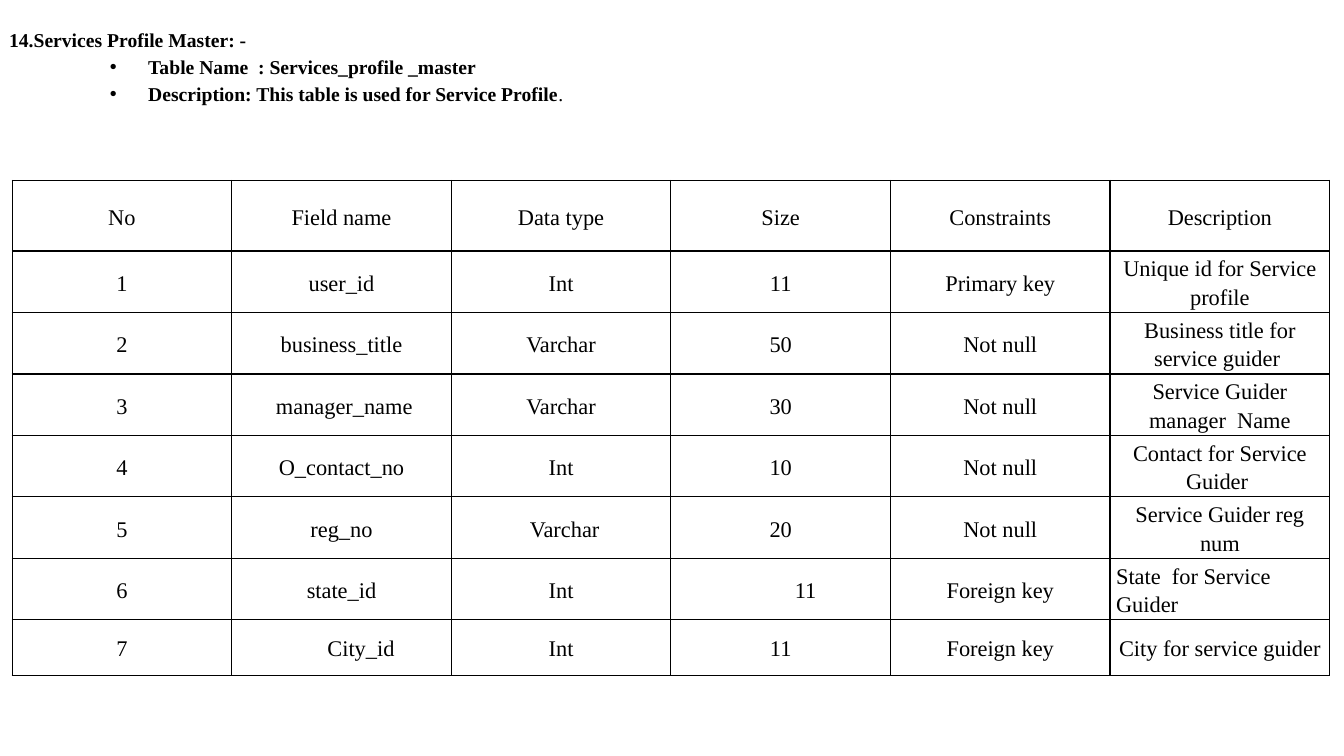
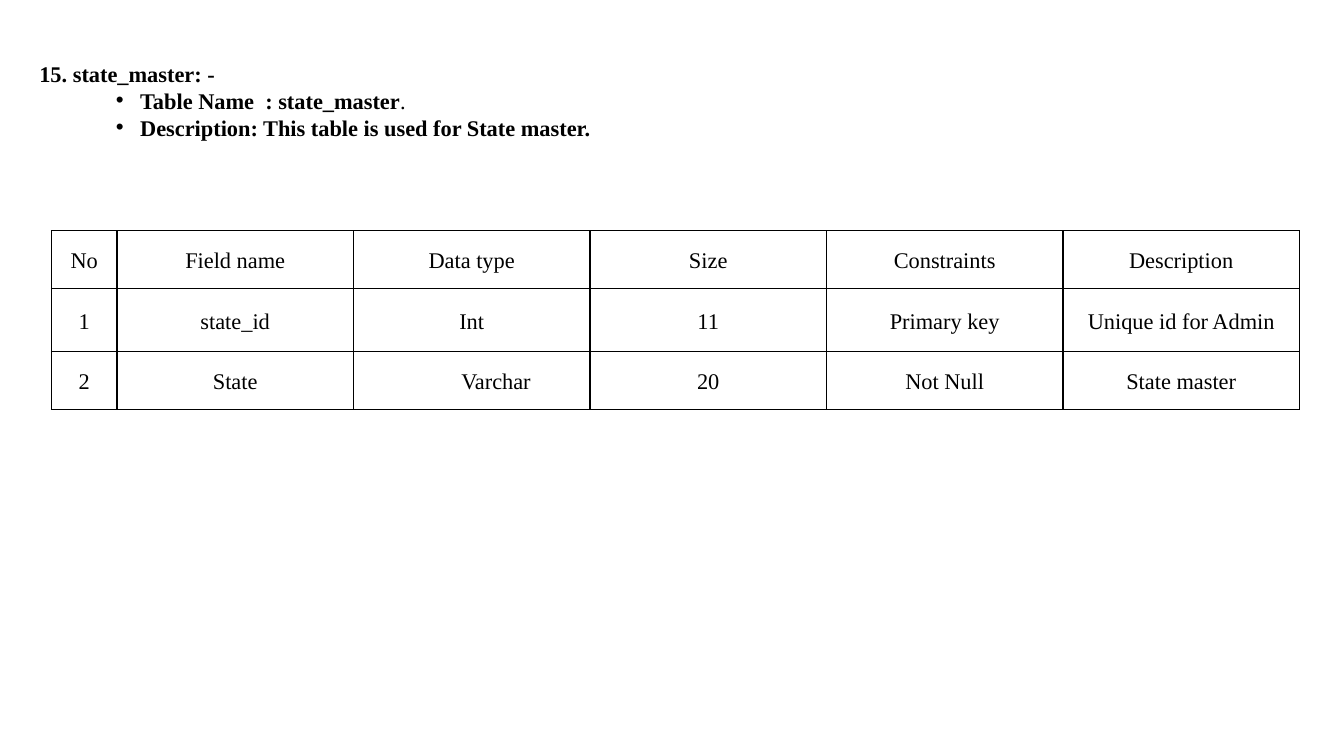
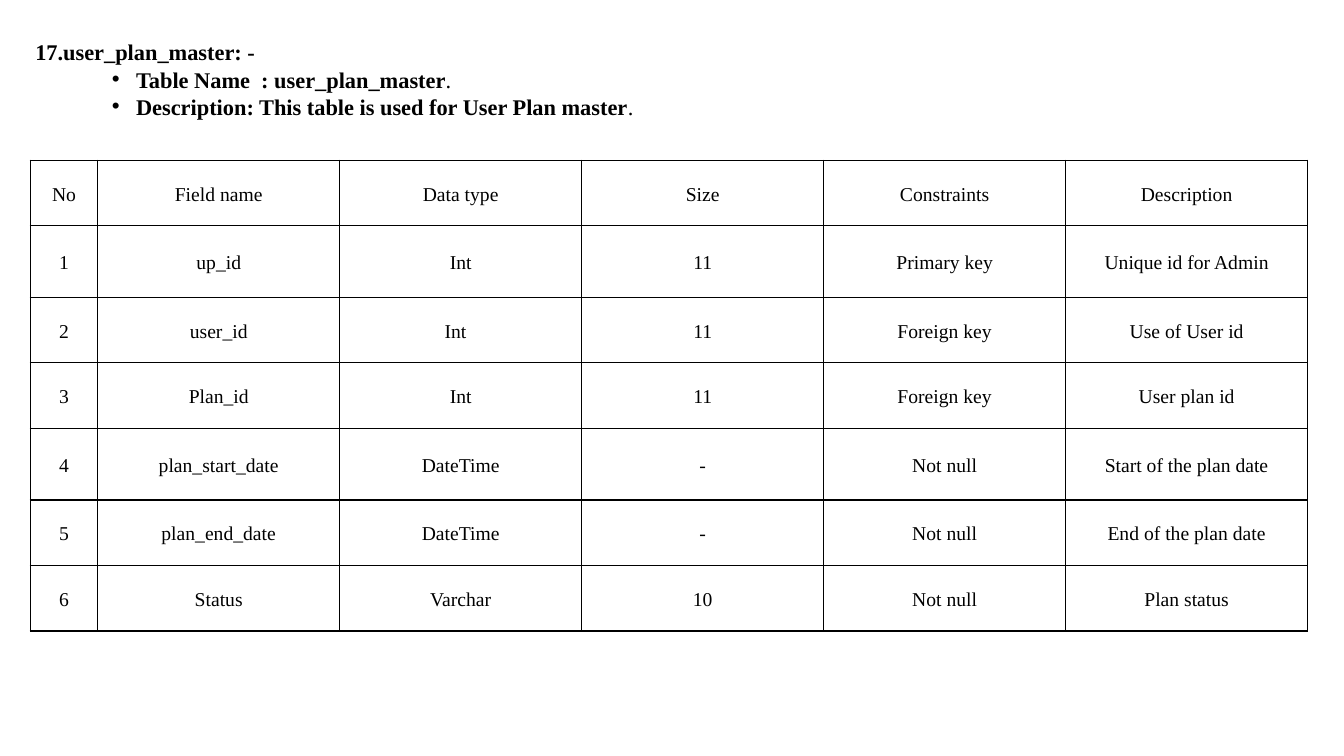
from dataclasses import dataclass

from lxml import etree
from pptx import Presentation
from pptx import util as u
from pptx.dml.color import RGBColor
from pptx.enum import text
from pptx.oxml import ns


@dataclass(frozen=True)
class Theme:
    font: str = "Times New Roman"
    ink: str = "000000"
    paper: str = "FFFFFF"
    small: int = 14
    regular: int = 16
    border: float = 1
    heading_pitch: float = 19.3
    cell_spacing: float = 1.15


THEME = Theme()
SLIDE_WIDTH, SLIDE_HEIGHT = 13.33, 7.5
LINE_HEIGHT = 0.27
HEADER = ["No", "Field name", "Data type", "Size", "Constraints", "Description"]

# A cell written as (text, indent) is left-aligned with that indent in inches.
SERVICES_ROWS = [
    HEADER,
    ["1", "user_id", "Int", "11", "Primary key", "Unique id for Service profile"],
    ["2", "business_title", "Varchar", "50", "Not null", "Business title for service guider "],
    ["3", " manager_name", "Varchar", "30", "Not null", "Service Guider manager  Name"],
    ["4", "O_contact_no", "Int", "10", "Not null", "Contact for Service Guider "],
    ["5", "reg_no", ("Varchar", 0.72), "20", "Not null", "Service Guider reg num"],
    ["6", "state_id", "Int", ("11", 1.17), "Foreign key", ("State  for Service Guider", 0)],
    ["7", ("City_id", 0.89), "Int", "11", "Foreign key", "City for service guider"],
]
STATE_ROWS = [
    HEADER,
    ["1", "state_id", "Int", "11", "Primary key", "Unique id for Admin"],
    ["2", "State", ("Varchar", 1), "20", "Not Null", "State master"],
]
PLAN_ROWS = [
    HEADER,
    ["1", "up_id", "Int", "11", "Primary key", "Unique id for Admin"],
    ["2", "user_id", ("Int", 0.97), "11", "Foreign key", "Use of User id"],
    ["3", "Plan_id", "Int", "11", "Foreign key", "User plan id"],
    ["4", "plan_start_date", "DateTime", "-", "Not null", "Start of the plan date"],
    ["5", "plan_end_date", "DateTime", "-", "Not null", "End of the plan date"],
    ["6", "Status", "Varchar", "10", "Not null", "Plan status"],
]


def write(paragraph, content, *, size, bold=False, align=text.PP_ALIGN.LEFT,
          spacing=THEME.cell_spacing):
    """Add a run to the paragraph and set the paragraph's format."""
    paragraph.alignment = align
    paragraph.line_spacing = spacing
    paragraph.space_before = paragraph.space_after = u.Pt(0)
    run = paragraph.add_run()
    run.text = content
    run.font.name = THEME.font
    run.font.size = u.Pt(size)
    run.font.bold = bold
    run.font.color.rgb = RGBColor.from_string(THEME.ink)


def indent(paragraph, left, first=0):
    properties = paragraph._p.get_or_add_pPr()
    properties.set("marL", str(u.Inches(left)))
    properties.set("indent", str(u.Inches(first)))
    return properties


def place(placeholder, left, top, width, lines):
    """Move a placeholder and give it room for a number of heading lines."""
    placeholder.left, placeholder.top = u.Inches(left), u.Inches(top)
    placeholder.width, placeholder.height = u.Inches(width), u.Inches(lines * LINE_HEIGHT)
    frame = placeholder.text_frame
    frame.word_wrap = True
    frame.auto_size = text.MSO_AUTO_SIZE.NONE
    frame.vertical_anchor = text.MSO_ANCHOR.TOP
    frame.margin_top = frame.margin_bottom = 0
    return frame


def add_heading(slide, title, bullets, *, left, top, width, size, bullet_indent):
    """Fill the title and the bullets, each given as (bold text, plain ending)."""
    style = {"size": size, "spacing": u.Pt(THEME.heading_pitch)}
    frame = place(slide.shapes.title, left, top, width, 1)
    write(frame.paragraphs[0], title, bold=True, **style)

    frame = place(slide.placeholders[1], left, top + LINE_HEIGHT, width, len(bullets))
    for index, (strong, ending) in enumerate(bullets):
        paragraph = frame.add_paragraph() if index else frame.paragraphs[0]
        paragraph.level = 1
        write(paragraph, strong, bold=True, **style)
        if ending:
            write(paragraph, ending, **style)
        properties = indent(paragraph, *bullet_indent)
        etree.SubElement(properties, ns.qn("a:buChar")).set("char", "•")


def add_borders(cell):
    properties = cell._tc.get_or_add_tcPr()
    for side in ("lnL", "lnR", "lnT", "lnB"):
        line = etree.SubElement(properties, ns.qn(f"a:{side}"), w=str(u.Pt(THEME.border)))
        fill = etree.SubElement(line, ns.qn("a:solidFill"))
        etree.SubElement(fill, ns.qn("a:srgbClr"), val=THEME.ink)


def fill_cell(cell, content, size, margin):
    cell.vertical_anchor = text.MSO_ANCHOR.MIDDLE
    cell.margin_left = cell.margin_right = u.Inches(margin)
    cell.margin_top = cell.margin_bottom = 0
    add_borders(cell)
    cell.fill.solid()
    cell.fill.fore_color.rgb = RGBColor.from_string(THEME.paper)
    paragraph = cell.text_frame.paragraphs[0]
    if isinstance(content, tuple):
        content, left = content
        write(paragraph, content, size=size)
        indent(paragraph, left)
    else:
        write(paragraph, content, size=size, align=text.PP_ALIGN.CENTER)


def add_field_table(slide, rows, heights, *, left, top, width, first_column, size, margin=0.07):
    """Draw a bordered table whose columns after the first are equally wide."""
    count = len(HEADER)
    table = slide.shapes.add_table(len(rows), count, u.Inches(left), u.Inches(top),
                                   u.Inches(width), u.Inches(sum(heights))).table
    table.first_row = table.horz_banding = False
    other_column = (width - first_column) / (count - 1)
    for index, column in enumerate(table.columns):
        column.width = u.Inches(other_column if index else first_column)
    for row, height, contents in zip(table.rows, heights, rows):
        row.height = u.Inches(height)
        for cell, content in zip(row.cells, contents):
            fill_cell(cell, content, size, margin)


def main():
    presentation = Presentation()
    presentation.slide_width = u.Inches(SLIDE_WIDTH)
    presentation.slide_height = u.Inches(SLIDE_HEIGHT)
    layout = presentation.slide_layouts[1]

    services, state, plan = (presentation.slides.add_slide(layout) for _ in range(3))

    add_heading(services, "14.Services Profile Master: -",
                [("Table Name  : Services_profile _master", ""),
                 ("Description: This table is used for Service Profile", ".")],
                left=-0.01, top=0.24, width=6.67, size=THEME.small,
                bullet_indent=(1.38, -0.38))
    add_field_table(services, SERVICES_ROWS, [0.7] + [0.61] * 6 + [0.55],
                    left=0.12, top=1.79, width=13.07, first_column=13.07 / len(HEADER),
                    size=THEME.regular, margin=0.06)

    add_heading(state, "15. state_master: -",
                [("Table Name  : state_master", "."),
                 ("Description: This table is used for State master.", "")],
                left=0.29, top=0.59, width=12.59, size=THEME.regular,
                bullet_indent=(1, -0.24))
    add_field_table(state, STATE_ROWS, [0.57, 0.63, 0.57],
                    left=0.51, top=2.29, width=12.38, first_column=0.65, size=THEME.regular)

    add_heading(plan, "17.user_plan_master: -",
                [("Table Name  : user_plan_master", "."),
                 ("Description: This table is used for User Plan master", ".")],
                left=0.25, top=0.38, width=12.44, size=THEME.regular,
                bullet_indent=(1, -0.24))
    add_field_table(plan, PLAN_ROWS, [0.65, 0.71, 0.65, 0.65, 0.71, 0.65, 0.65],
                    left=0.3, top=1.59, width=12.67, first_column=0.67, size=THEME.small)

    presentation.save("out.pptx")


if __name__ == "__main__":
    main()
